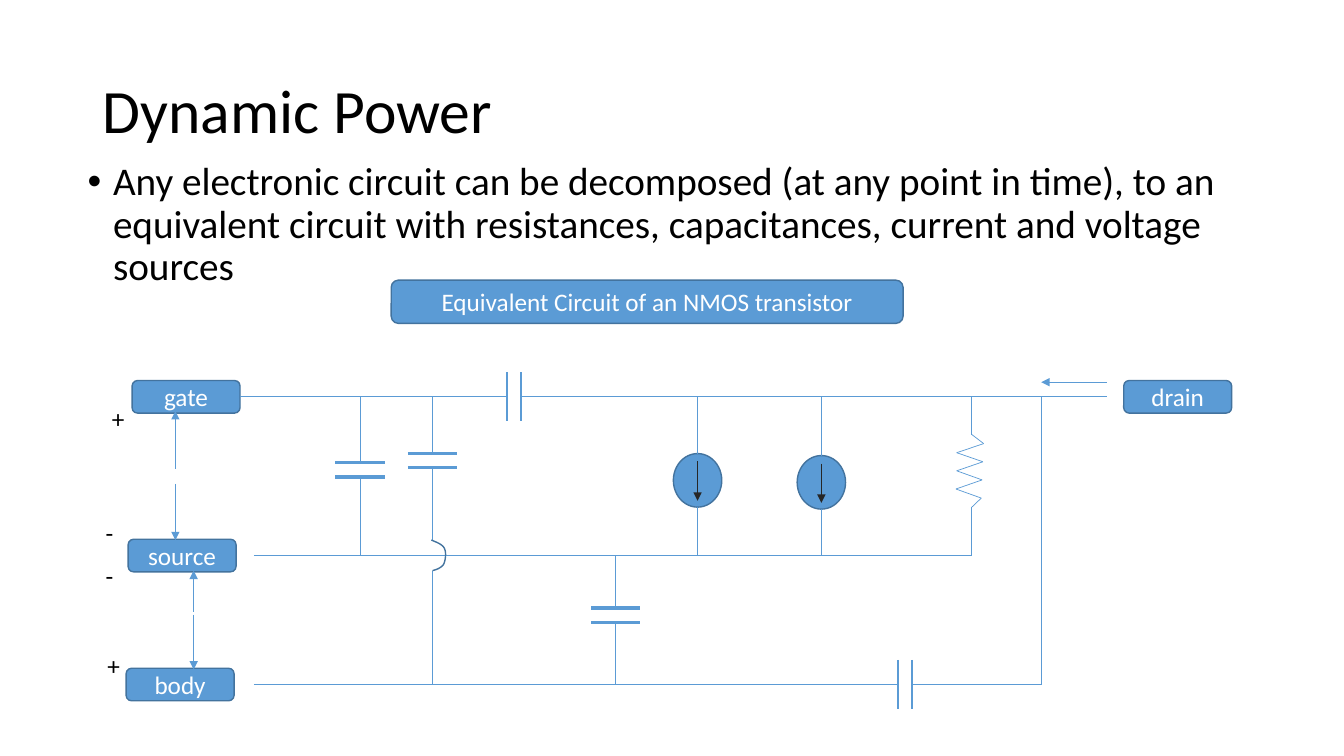
from itertools import pairwise

from lxml import etree
from pptx import Presentation
from pptx import util as u
from pptx.dml.color import RGBColor
from pptx.enum import shapes, text
from pptx.oxml.ns import qn

# Content; all lengths in centimetres
TITLE = "Dynamic Power"
POINT = ("Any electronic circuit can be decomposed (at any point in time), to an equivalent "
         "circuit with resistances, capacitances, current and voltage sources")
CAPTION = "Equivalent Circuit of an NMOS transistor"
BLUE, EDGE, DARK, BLACK, WHITE = "5B9BD5", "43739E", "262626", "000000", "FFFFFF"

GATE, SOURCE, BODY = 10.0, 14.0, 17.25  # heights of the three rails
RAIL_LEFT, RAIL_RIGHT, DRAIN_X = 6.4, 27.89, 26.24
TERMINALS = {"gate": (3.33, GATE), "source": (3.23, SOURCE),
             "body": (3.18, BODY), "drain": (28.32, GATE)}
TERMINAL_SIZE = (2.72, 0.82)
SIGNS = [("+", 2.57, 10.03), ("-", 2.41, 14.0), ("+", 2.46, 16.26), ("-", 2.41, 12.9)]
ARROWS = [(4.42, 11.81, 4.42, 10.36), (4.42, 12.19, 4.42, 13.61),
          (4.88, 15.42, 4.88, 14.38), (4.88, 15.49, 4.88, 16.87),
          (RAIL_RIGHT, 9.63, DRAIN_X, 9.63)]

PLATE_GAP, PLATE_HALF = 0.36, 0.62
GATE_CAPACITOR_X, BODY_CAPACITOR_X = 12.78, 22.63
CROSSING_X, HOP_TOP, HOP_BOTTOM = 10.9, 13.61, 14.38
# x, start, upper plate, end
CAPACITORS = [(9.07, GATE, 11.66, SOURCE), (CROSSING_X, GATE, 11.43, HOP_TOP),
              (15.52, SOURCE, 15.32, BODY)]
CURRENT_SOURCES = [(17.58, 11.43), (20.7, 11.48)]
CIRCLE_SIZE = (1.22, 1.35)
RESISTOR_X, RESISTOR_TOP, RESISTOR_BOTTOM = 24.49, 10.95, 12.78
ZIGZAG = [0, 0.3, -0.38, 0.28, -0.38, 0.26, -0.4, 0.24, 0]
HOP_START = (10.87, HOP_TOP)
HOP_CURVES = [((11.02, 13.67), (11.15, 13.72), (11.2, 13.82)),
              ((11.25, 13.92), (11.23, 14.12), (11.18, 14.22)),
              ((11.13, 14.3), (11.02, 14.35), (CROSSING_X, HOP_BOTTOM))]

deck = Presentation()
deck.slide_width, deck.slide_height = u.Cm(33.87), u.Cm(19.05)
page = deck.slides.add_slide(deck.slide_layouts[6])


def cm(*values):
    return [u.Cm(value) for value in values]


def color(code):
    return RGBColor.from_string(code)


def apply(target, **formats):
    for name, value in formats.items():
        setattr(target, name, value)


def write(box, words, size, ink, **formats):
    para = box.text_frame.paragraphs[0]
    span = para.add_run()
    span.text = words
    apply(span.font, name="Calibri", size=u.Pt(size))
    span.font.color.rgb = color(ink)
    apply(para, **formats)
    return para


def text_box(left, top, width, height, words, size, wrap=True,
             anchor=text.MSO_ANCHOR.TOP, **formats):
    box = page.shapes.add_textbox(*cm(left, top, width, height))
    apply(box.text_frame, word_wrap=wrap, vertical_anchor=anchor)
    return write(box, words, size, BLACK, **formats)


def outline(shape):
    shape.shadow.inherit = False
    shape.line.color.rgb = color(EDGE)
    shape.line.width = u.Pt(1)


def solid(kind, left, top, width, height):
    shape = page.shapes.add_shape(kind, *cm(left, top, width, height))
    shape.fill.solid()
    shape.fill.fore_color.rgb = color(BLUE)
    outline(shape)
    return shape


def label(left, top, width, height, words):
    box = solid(shapes.MSO_SHAPE.ROUNDED_RECTANGLE, left, top, width, height)
    apply(box.text_frame, vertical_anchor=text.MSO_ANCHOR.MIDDLE, word_wrap=True,
          margin_top=0, margin_bottom=0)
    write(box, words, 18, WHITE, alignment=text.PP_ALIGN.CENTER)
    return box


def wire(x1, y1, x2, y2, weight=0.5, ink=BLUE, arrow=False):
    line = page.shapes.add_connector(shapes.MSO_CONNECTOR.STRAIGHT, *cm(x1, y1, x2, y2))
    line.line.color.rgb = color(ink)
    line.line.width = u.Pt(weight)
    if arrow:
        etree.SubElement(line.line._get_or_add_ln(), qn("a:tailEnd"), type="triangle")
    etree.SubElement(line._element.spPr, qn("a:effectLst"))
    return line


def curve_points(start, curves, steps=8):
    """Sample a chain of cubic curves."""
    points = [start]
    for first, second, end in curves:
        begin = points[-1]
        for step in range(1, steps + 1):
            t = step / steps
            points.append(tuple((1 - t) ** 3 * a + 3 * t * (1 - t) ** 2 * b
                                + 3 * t ** 2 * (1 - t) * c + t ** 3 * d
                                for a, b, c, d in zip(begin, first, second, end)))
    return points


# Text
text_box(2.34, 1.02, 29.21, 3.68, TITLE, 44, anchor=text.MSO_ANCHOR.MIDDLE, line_spacing=0.9)
bullet = text_box(1.96, 3.96, 29.21, 12.09, POINT, 28, line_spacing=0.9)
indents = bullet._p.get_or_add_pPr()
indents.set("marL", str(u.Cm(0.64)))
indents.set("indent", str(u.Cm(-0.64)))
etree.SubElement(indents, qn("a:buFont"), typeface="Arial")
etree.SubElement(indents, qn("a:buChar"), char="•")
label(9.86, 7.06, 12.9, 1.09, CAPTION)

# Terminals
width, height = TERMINAL_SIZE
boxes = {name: label(left, rail - height / 2, width, height, name)
         for name, (left, rail) in TERMINALS.items()}
for sign, left, top in SIGNS:
    text_box(left, top, 0.8, 1.02, sign, 18, wrap=False)
for arrow_ends in ARROWS:
    wire(*arrow_ends, arrow=True)

# Rails, with a capacitor in the gate rail and in the body rail
for rail, start, plate, end in [(GATE, RAIL_LEFT, GATE_CAPACITOR_X, RAIL_RIGHT),
                                (BODY, RAIL_LEFT, BODY_CAPACITOR_X, DRAIN_X)]:
    lead = wire(start, rail, plate, rail)
    if rail == GATE:
        lead.begin_connect(boxes["gate"], 3)
    wire(plate + PLATE_GAP, rail, end, rail)
    for x in (plate, plate + PLATE_GAP):
        wire(x, rail - PLATE_HALF, x, rail + PLATE_HALF, 1.5)
wire(RAIL_LEFT, SOURCE, RESISTOR_X, SOURCE)
wire(DRAIN_X, GATE, DRAIN_X, BODY)

# Capacitors between rails
for x, start, plate, end in CAPACITORS:
    wire(x, start, x, plate)
    wire(x, plate + PLATE_GAP, x, end)
    for y in (plate, plate + PLATE_GAP):
        wire(x - PLATE_HALF, y, x + PLATE_HALF, y, 2.25)

# Hop over the source rail
wire(CROSSING_X, HOP_BOTTOM, CROSSING_X, BODY)
first, *rest = curve_points(HOP_START, HOP_CURVES)
builder = page.shapes.build_freeform(*cm(*first))
builder.add_line_segments([cm(*point) for point in rest], close=False)
hop = builder.convert_to_shape()
hop.fill.background()
outline(hop)

# Current sources
width, height = CIRCLE_SIZE
for x, top in CURRENT_SOURCES:
    solid(shapes.MSO_SHAPE.OVAL, x - width / 2, top, width, height)
    wire(x, GATE, x, top)
    wire(x, top + height, x, SOURCE)
    wire(x, top + 0.2, x, top + 1.19, ink=DARK, arrow=True)

# Resistor
pitch = (RESISTOR_BOTTOM - RESISTOR_TOP) / (len(ZIGZAG) - 1)
corners = [(RESISTOR_X + shift, RESISTOR_TOP + i * pitch) for i, shift in enumerate(ZIGZAG)]
for begin, end in pairwise([(RESISTOR_X, GATE), *corners, (RESISTOR_X, SOURCE)]):
    wire(*begin, *end)

deck.save("out.pptx")
